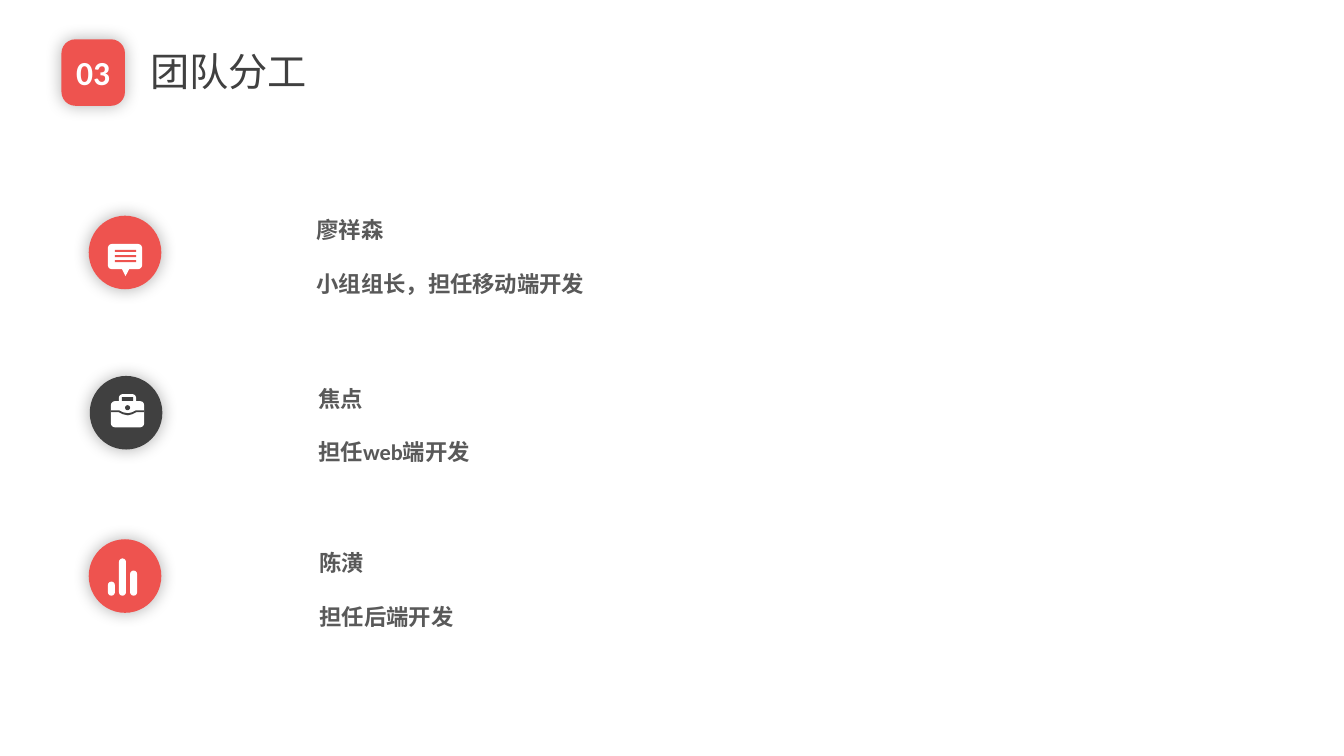
from lxml.etree import SubElement
from pptx import Presentation
from pptx.dml.color import RGBColor as Rgb
from pptx.enum.shapes import MSO_SHAPE as Kind
from pptx.enum.text import MSO_ANCHOR as Anchor, MSO_AUTO_SIZE as Auto, PP_ALIGN as Align
from pptx.oxml.ns import qn
from pptx.util import Inches, Pt

HUES = {"red": "EE534F", "dark": "404040", "gray": "595959", "white": "FFFFFF"}
TITLE = "团队分工"
NUMBER = "03"
TEAM = [
    ("red", (0.88, 2.14), (3.04, 1.83), ["廖祥森", "小组组长，担任移动端开发"]),
    ("dark", (0.89, 3.73), (3.06, 3.5), ["焦点", "担任web端开发"]),
    ("red", (0.88, 5.35), (3.07, 5.13), ["陈潢", "担任后端开发"]),
]
BARS = [(1.07, 0.14), (1.18, 0.37), (1.29, 0.25)]
BASE = 5.91
RULES = [2.48 + 0.05 * i for i in range(3)]
CASE = [
    (Kind.ROUNDED_RECTANGLE, (1.18, 3.91, 0.17, 0.12), "white", 0.3),
    (Kind.RECTANGLE, (1.21, 3.94, 0.11, 0.04), "dark", None),
    (Kind.ROUNDED_RECTANGLE, (1.1, 3.98, 0.33, 0.26), "white", 0.15),
    (Kind.OVAL, (1.24, 4.02, 0.05, 0.05), "dark", None),
]
FLAP = [(1.1, 4.07), (1.18, 4.07), (1.22, 4.09), (1.27, 4.1),
        (1.31, 4.09), (1.35, 4.07), (1.43, 4.07)]
SEAM = 0.02

deck = Presentation()
deck.slide_width, deck.slide_height = Inches(13.33), Inches(7.5)
slide = deck.slides.add_slide(deck.slide_layouts[5])
shapes = slide.shapes


def color(name):
    return Rgb.from_string(HUES[name])


def paint(shape, hue):
    shape.shadow.inherit = False
    shape.fill.solid()
    shape.fill.fore_color.rgb = color(hue)
    shape.line.fill.background()


def draw(kind, box, hue, round=None):
    shape = shapes.add_shape(kind, *map(Inches, box))
    paint(shape, hue)
    if round is not None:
        shape.adjustments[0] = round
    return shape


def glow(shape):
    effects = shape._element.spPr.find(qn("a:effectLst"))
    shade = SubElement(effects, qn("a:outerShdw"), blurRad=str(Pt(12)), dist="0",
                       dir="0", algn="ctr", rotWithShape="0")
    black = SubElement(shade, qn("a:srgbClr"), val="000000")
    SubElement(black, qn("a:alpha"), val="30000")


def write(shape, lines, hue, frame, para, font):
    text = shape.text_frame
    text.text = "\n".join(lines)
    for key, value in frame.items():
        setattr(text, key, value)
    for part in text.paragraphs:
        for key, value in para.items():
            setattr(part, key, value)
        for key, value in font.items():
            setattr(part.font, key, value)
        part.font.name = "Calibri"
        part.font.color.rgb = color(hue)


for hue, disc, place, lines in TEAM:
    glow(draw(Kind.OVAL, (*disc, 0.72, 0.73), hue))
    box = shapes.add_textbox(*map(Inches, (*place, 4.06, 1.18)))
    write(box, lines, "gray", {"word_wrap": True},
          {"line_spacing": 2.0}, {"size": Pt(16), "bold": True})

draw(Kind.ROUNDED_RECTANGLE, (1.07, 2.42, 0.34, 0.25), "white", 0.16)
draw(Kind.FLOWCHART_MERGE, (1.2, 2.65, 0.09, 0.09), "white")
for top in RULES:
    draw(Kind.RECTANGLE, (1.14, top, 0.21, 0.02), "red")

for kind, box, hue, round in CASE:
    draw(kind, box, hue, round)
edge = FLAP + [(x, y + SEAM) for x, y in reversed(FLAP)]
points = [(Inches(x), Inches(y)) for x, y in edge]
pen = shapes.build_freeform(*points[0])
pen.add_line_segments(points[1:], close=True)
paint(pen.convert_to_shape(), "dark")

for left, high in BARS:
    draw(Kind.ROUNDED_RECTANGLE, (left, BASE - high, 0.07, high), "white", 0.5)

badge = draw(Kind.ROUNDED_RECTANGLE, (0.61, 0.39, 0.63, 0.66), "red", 0.22)
glow(badge)
write(badge, [NUMBER], "white", {"vertical_anchor": Anchor.MIDDLE},
      {"alignment": Align.CENTER}, {"size": Pt(24), "bold": True})

title = shapes.title
spot = {"left": 1.39, "top": 0.35, "width": 3.6, "height": 0.7}
for key, value in spot.items():
    setattr(title, key, Inches(value))
write(title, [TITLE], "dark",
      {"vertical_anchor": Anchor.MIDDLE, "word_wrap": True, "auto_size": Auto.NONE},
      {"alignment": Align.LEFT}, {"size": Pt(28), "bold": False})

deck.save("out.pptx")
